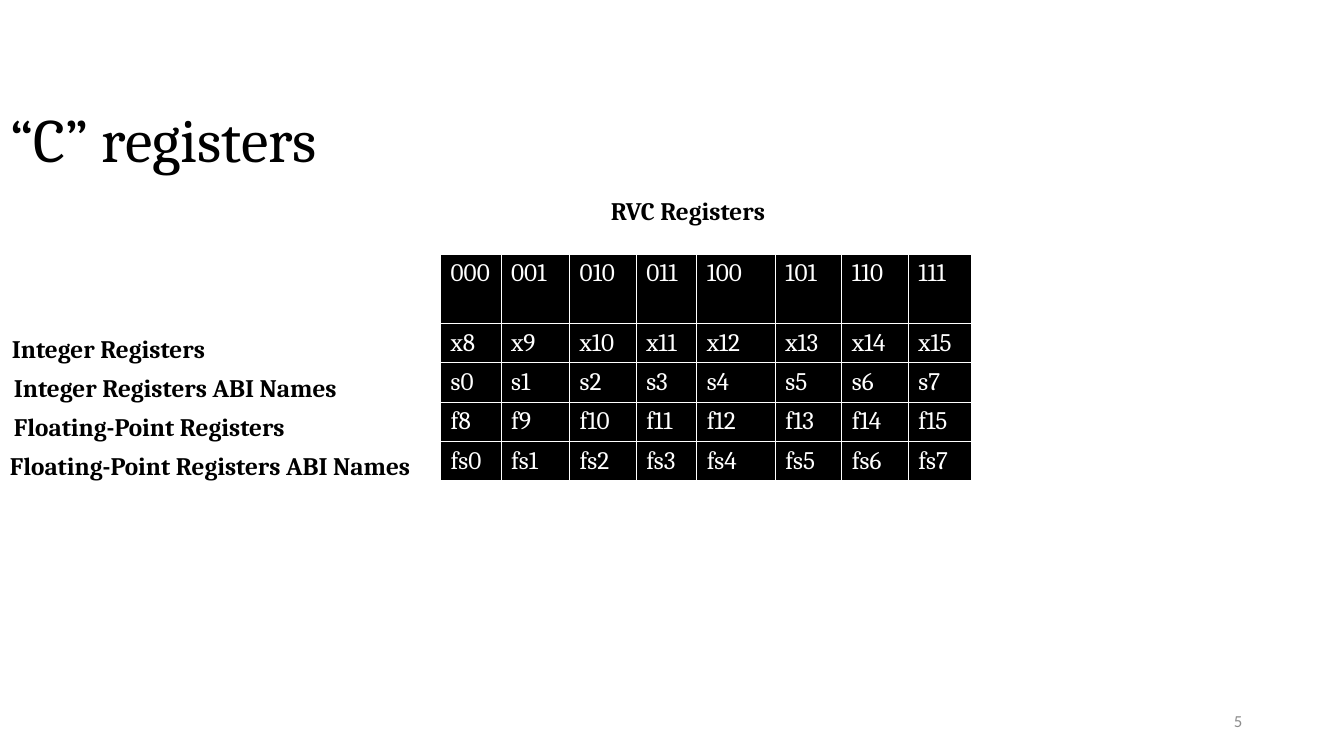
from pptx import Presentation, util as u
from pptx.dml import color
from pptx.enum import text

FONT = "Cambria"
BLACK, WHITE, GREY = "000000", "FFFFFF", "8C8C8C"


def add_run(paragraph, words, size, hex_color, bold=False, font=FONT):
    run = paragraph.add_run()
    run.text = words
    run.font.name, run.font.size, run.font.bold = font, u.Pt(size), bold
    run.font.color.rgb = color.RGBColor.from_string(hex_color)


def add_label(left, top, width, words, size=18, hex_color=BLACK, bold=True, font=FONT):
    box = slide.shapes.add_textbox(u.Inches(left), u.Inches(top), u.Inches(width), u.Inches(0.4))
    box.text_frame.word_wrap = True
    paragraph = box.text_frame.paragraphs[0]
    add_run(paragraph, words, size, hex_color, bold, font)
    return box.text_frame


presentation = Presentation()
presentation.slide_width, presentation.slide_height = u.Inches(13.33), u.Inches(7.5)
slide = presentation.slides.add_slide(presentation.slide_layouts[5])

# Title
title = slide.shapes.title
title.left, title.top = 0, u.Inches(0.77)
title.width, title.height = presentation.slide_width, u.Inches(1.29)
title.text_frame.vertical_anchor = text.MSO_ANCHOR.MIDDLE
paragraph = title.text_frame.paragraphs[0]
paragraph.alignment = text.PP_ALIGN.LEFT
paragraph.line_spacing = 0.9
add_run(paragraph, "“C” registers", 44, BLACK)

# Register table: one column per three-bit code; the table style draws the white borders
column_widths = [0.6, 0.68, 0.66, 0.6, 0.78, 0.66, 0.66, 0.63]
row_heights = [0.69] + [0.39] * 4
codes = range(len(column_widths))
register_rows = [
    [f"{code:03b}" for code in codes],
    [f"x{code + 8}" for code in codes],
    [f"s{code}" for code in codes],
    [f"f{code + 8}" for code in codes],
    [f"fs{code}" for code in codes],
]
table = slide.shapes.add_table(
    len(row_heights), len(column_widths), u.Inches(4.37), u.Inches(2.52),
    u.Inches(sum(column_widths)), u.Inches(sum(row_heights))).table
for column, width in zip(table.columns, column_widths):
    column.width = u.Inches(width)
for row, height, names in zip(table.rows, row_heights, register_rows):
    row.height = u.Inches(height)
    for cell, name in zip(row.cells, names):
        cell.fill.solid()
        cell.fill.fore_color.rgb = color.RGBColor.from_string(BLACK)
        add_run(cell.text_frame.paragraphs[0], name, 18, WHITE)

# Table heading and row labels
add_label(5.96, 1.89, 1.87, "RVC Registers")
row_labels = [
    (0.02, "Integer Registers"),
    (0.04, "Integer Registers ABI Names"),
    (0.04, "Floating-Point Registers"),
    (0, "Floating-Point Registers ABI Names"),
]
for index, (left, words) in enumerate(row_labels):
    add_label(left, 3.26 + 0.385 * index, 4.37, words)

# Slide number
number = add_label(9.42, 6.95, 3, "5", 12, GREY, False, "Calibri")
number.vertical_anchor = text.MSO_ANCHOR.MIDDLE
number.paragraphs[0].alignment = text.PP_ALIGN.RIGHT

presentation.save("out.pptx")
